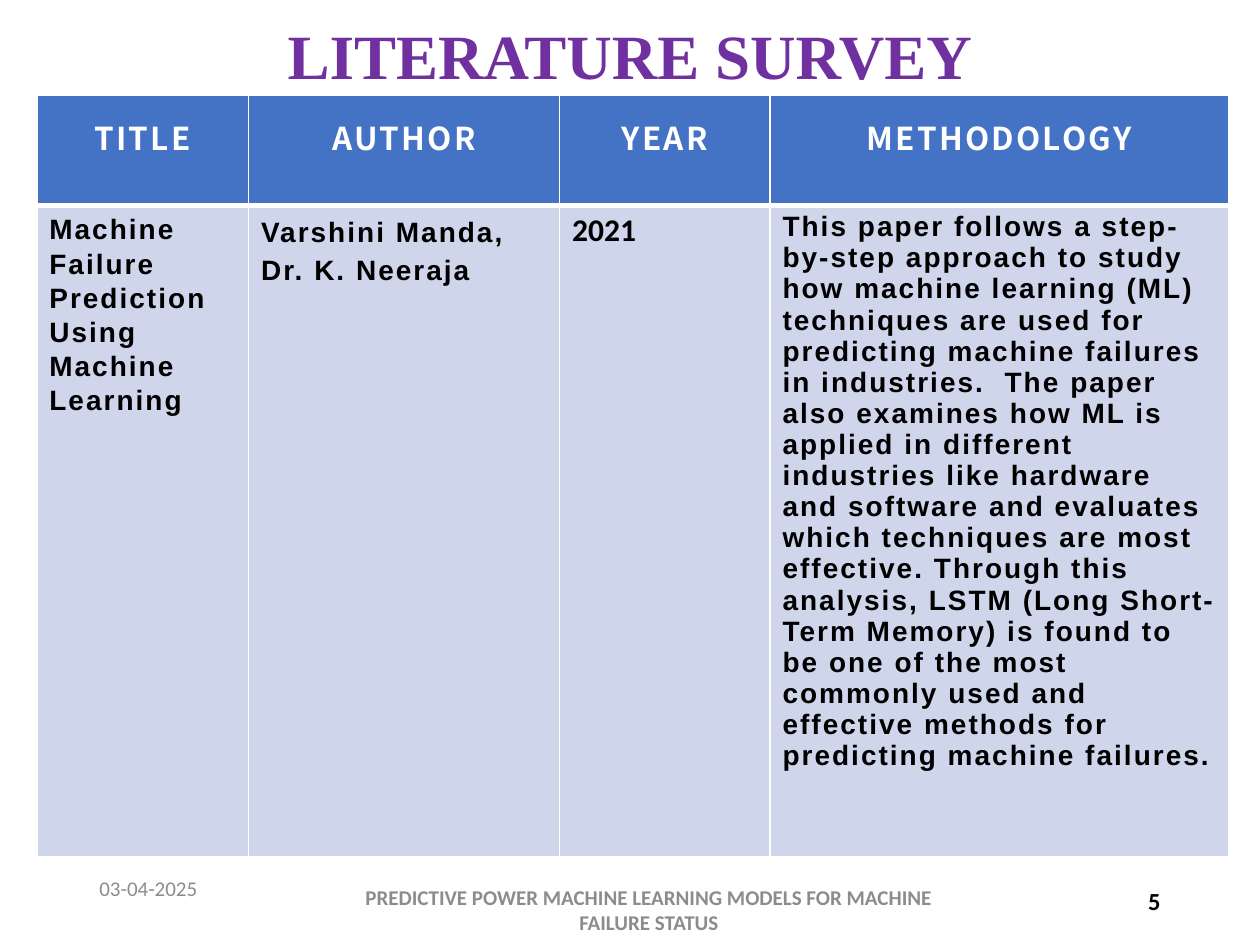
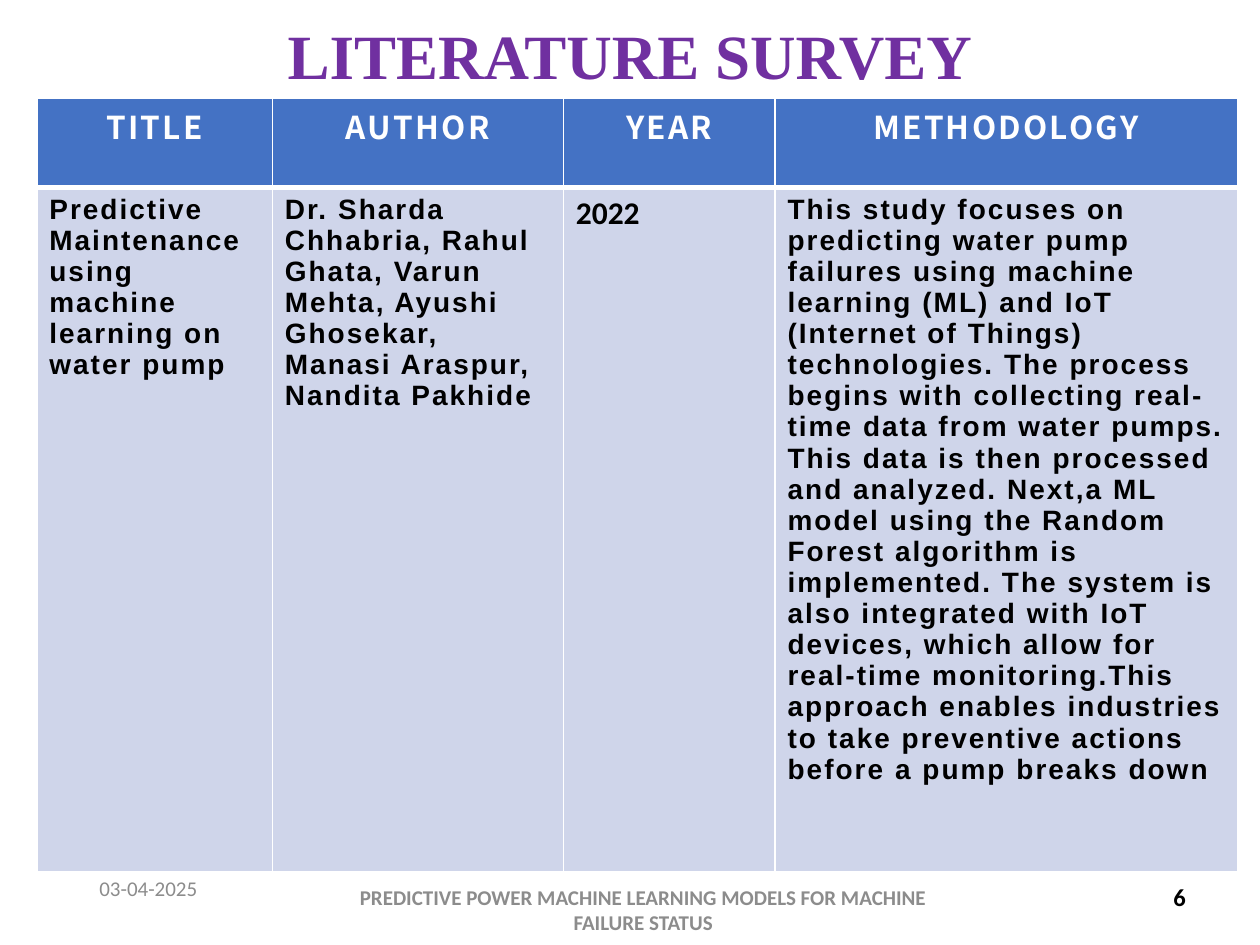
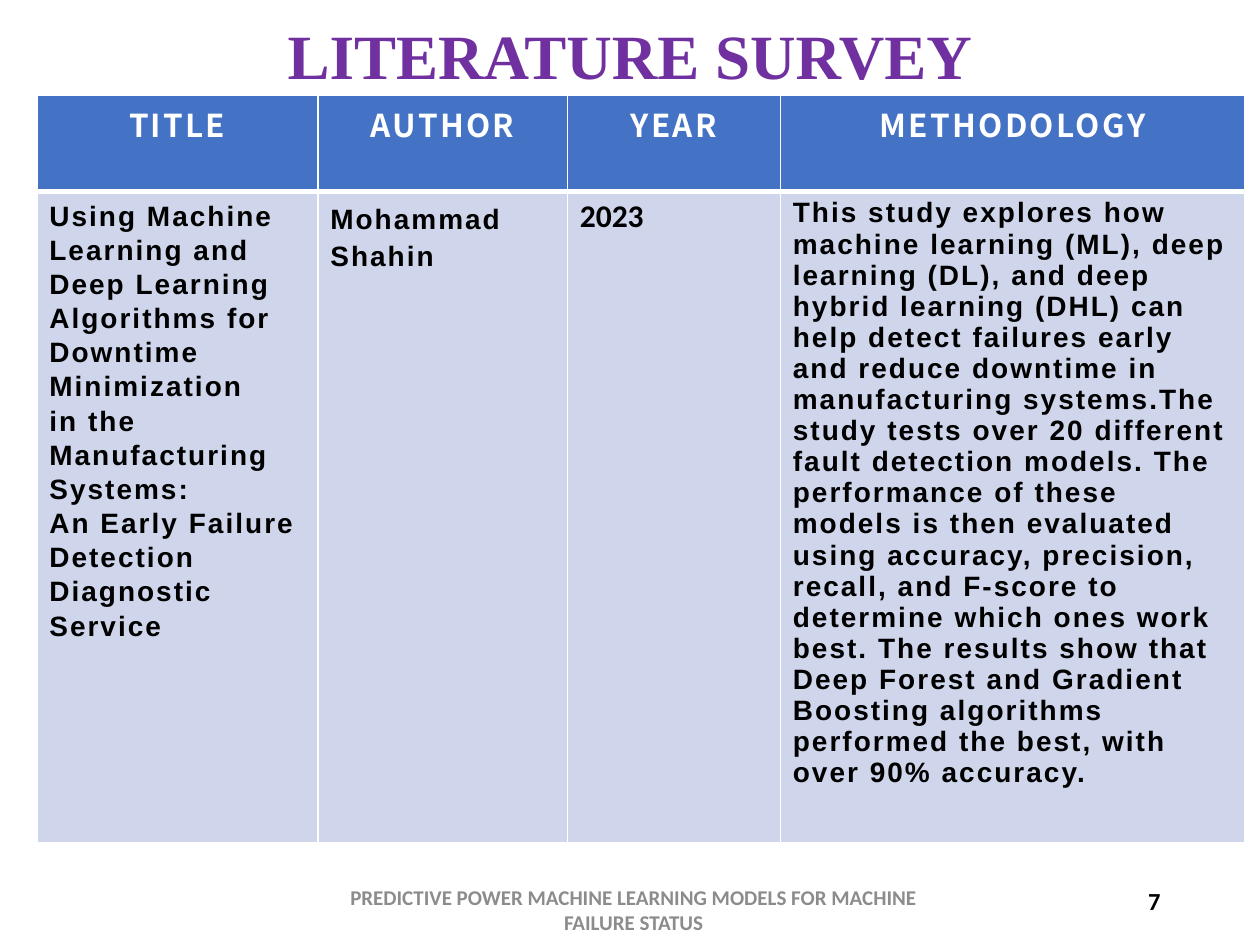
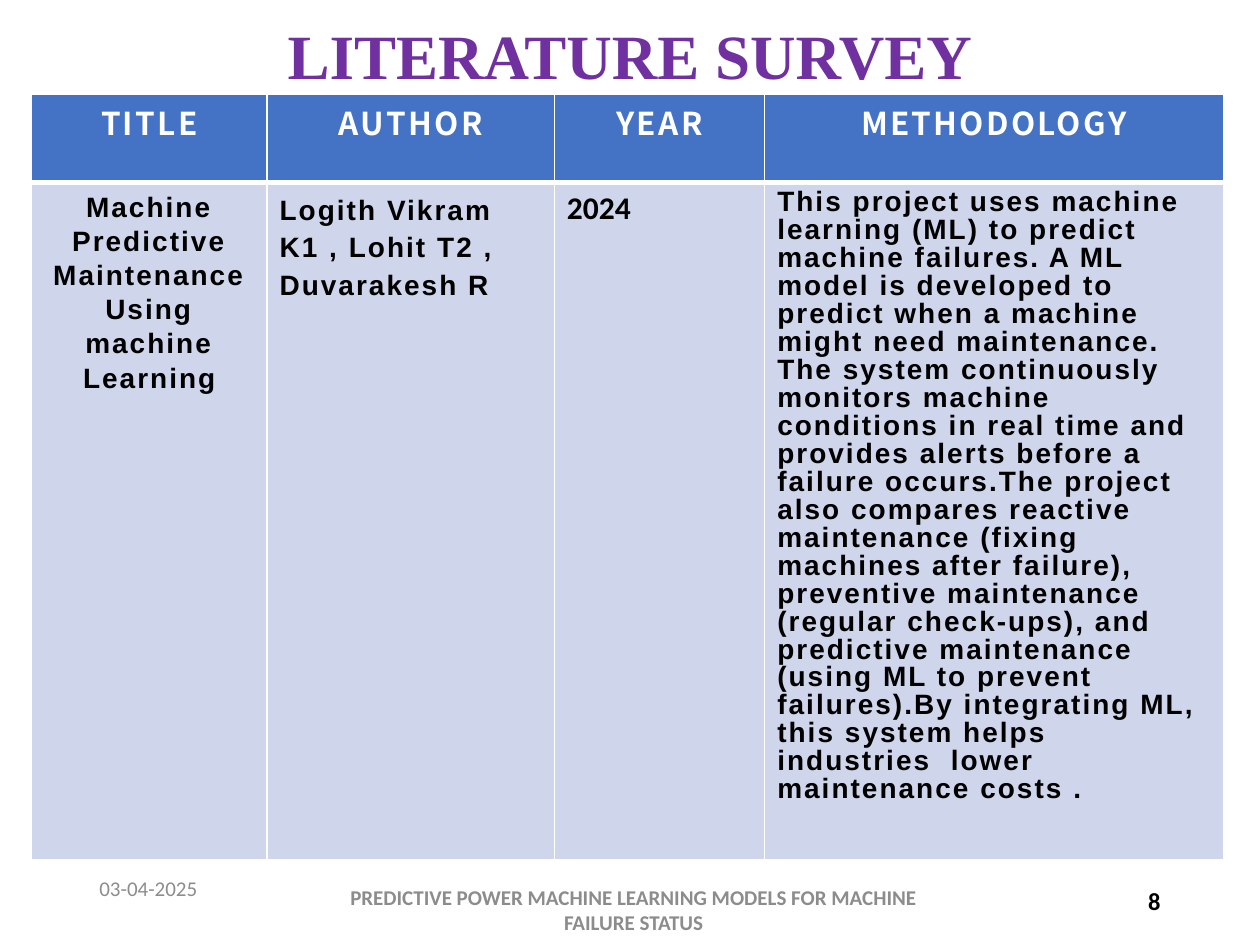
from dataclasses import dataclass

from lxml import etree
from pptx import Presentation
from pptx.dml.color import RGBColor
from pptx.enum.text import MSO_ANCHOR, MSO_AUTO_SIZE, PP_ALIGN
from pptx.oxml.ns import qn
from pptx.util import Pt

LEFT, CENTER, RIGHT = PP_ALIGN.LEFT, PP_ALIGN.CENTER, PP_ALIGN.RIGHT
TOP, MIDDLE, BOTTOM = MSO_ANCHOR.TOP, MSO_ANCHOR.MIDDLE, MSO_ANCHOR.BOTTOM
NO_FIT = MSO_AUTO_SIZE.NONE
TITLE_ONLY = 5

PURPLE, BLUE, PALE_BLUE = "7030A0", "4472C4", "CFD5EA"
WHITE, BLACK, GRAY = "FFFFFF", "000000", "8C8C8C"

TITLE_FONT = {"name": "Times New Roman", "size": Pt(36), "bold": True, "color": PURPLE}
HEADER_FONT = {"name": "Noto Sans CJK SC", "size": Pt(18), "bold": True, "color": WHITE}
BODY_FONT = {"name": "Arial", "size": Pt(16), "bold": True, "color": BLACK}
YEAR_FONT = {"name": "Calibri", "size": Pt(18), "bold": True, "color": BLACK}
DATE_FONT = {"name": "Calibri", "size": Pt(12), "bold": False, "color": GRAY}
FOOTER_FONT = {**DATE_FONT, "bold": True}
NUMBER_FONT = {"name": "Calibri", "size": Pt(14), "bold": True, "color": BLACK}

HEADER_TRACKING, BODY_TRACKING = 1.3, 1.2
THIN, THICK = 1, 3
HEADER_MARGINS = {"margin_top": Pt(2.75), "margin_bottom": Pt(26)}

HEADINGS = ["TITLE", "AUTHOR", "YEAR", "METHODOLOGY"]
SURVEY_TITLE = "LITERATURE SURVEY"
DATE = "03-04-2025"
PROJECT = "PREDICTIVE POWER MACHINE LEARNING MODELS FOR MACHINE FAILURE STATUS"
FIRST_NUMBER = 5


@dataclass
class Paper:
    """One surveyed paper, with the layout of its slide in points."""
    title: list
    author: list
    year: str
    methodology: list
    corner: tuple
    columns: list
    rows: list
    footer: tuple
    number: tuple = (508.3, 500.4)
    spacing: tuple = (1.1, 1.2, 1, 1)
    title_align: int = LEFT
    dated: bool = True


PAPERS = [
    Paper(
        title=["Machine Failure Prediction Using Machine", "Learning"],
        author=["Varshini Manda,", "Dr. K. Neeraja"],
        year="2021",
        methodology=[
            "This paper follows a step-by-step approach to study how machine learning (ML) "
            "techniques are used for predicting machine failures in industries.  The paper also "
            "examines how ML is applied in different industries like hardware and software and "
            "evaluates which techniques are most effective. Through this analysis, LSTM (Long "
            "Short-Term Memory) is found to be one of the most commonly used and effective "
            "methods for predicting machine failures."],
        corner=(21, 54.7),
        columns=[121, 177.8, 120.2, 262.1],
        rows=[62.6, 372.2],
        footer=(195.8, 350),
    ),
    Paper(
        title=["Predictive Maintenance using machine learning on water pump"],
        author=["Dr. Sharda Chhabria, Rahul Ghata, Varun Mehta, Ayushi Ghosekar, "
                "Manasi Araspur, Nandita Pakhide"],
        year="2022",
        methodology=[
            "This study focuses on predicting water pump failures using machine learning (ML) and "
            "IoT (Internet of Things) technologies. The process begins with collecting real-time "
            "data from water pumps. This data is then processed and analyzed. Next,a ML model "
            "using the Random Forest algorithm is implemented. The system is also integrated with "
            "IoT devices, which allow for real-time monitoring.This approach enables industries "
            "to take preventive actions before a pump breaks down"],
        corner=(21, 56.2),
        columns=[134.6, 166.3, 121, 264.2],
        rows=[51.1, 391],
        footer=(184.3, 366.5),
        number=(522.7, 498.2),
        spacing=(1, 1, 1, 1),
    ),
    Paper(
        title=["Using Machine Learning and Deep Learning Algorithms for Downtime Minimization",
               "in the", "Manufacturing Systems:",
               "An Early Failure Detection Diagnostic Service"],
        author=["Mohammad Shahin"],
        year="2023",
        methodology=[
            "This study explores how machine learning (ML), deep learning (DL), and deep hybrid "
            "learning (DHL) can help detect failures early and reduce downtime in manufacturing "
            "systems.The study tests over 20 different fault detection models. The performance of "
            "these models is then evaluated using accuracy, precision, recall, and F-score to "
            "determine which ones work best. The results show that Deep Forest and Gradient "
            "Boosting algorithms performed the best, with over 90% accuracy."],
        corner=(21, 54.7),
        columns=[160.6, 142.6, 121.7, 265.7],
        rows=[54.7, 372.2],
        footer=(185, 354.2),
        dated=False,
    ),
    Paper(
        title=["Machine Predictive Maintenance Using machine Learning"],
        author=["Logith Vikram K1 , Lohit T2 , Duvarakesh R"],
        year="2024",
        methodology=[
            "This project uses machine learning (ML) to predict machine failures. A ML model is "
            "developed to predict when a machine might need maintenance.",
            "The system continuously monitors machine conditions in real time and provides alerts "
            "before a failure occurs.The project also compares reactive maintenance (fixing "
            "machines after failure), preventive maintenance (regular check-ups), and predictive "
            "maintenance (using ML to prevent failures).By integrating ML, this system helps "
            "industries  lower maintenance costs ."],
        corner=(18, 54),
        columns=[134.6, 164.2, 120.2, 262.1],
        rows=[50.4, 386.6],
        footer=(185, 354.2),
        spacing=(1.1, 1.2, 1, 0.9),
        title_align=CENTER,
    ),
]


def rgb(color):
    return RGBColor.from_string(color)


def set_attributes(target, values):
    for name, value in values.items():
        setattr(target, name, value)


def write(frame, lines, font, align=LEFT, spacing=1, tracking=0):
    """Fill a text frame with one paragraph per line; tracking is in points."""
    for index, line in enumerate(lines):
        para = frame.add_paragraph() if index else frame.paragraphs[0]
        set_attributes(para, {"alignment": align, "line_spacing": spacing})
        span = para.add_run()
        span.text = line
        set_attributes(span.font, {k: v for k, v in font.items() if k != "color"})
        span.font.color.rgb = rgb(font["color"])
        if tracking:
            span._r.get_or_add_rPr().set("spc", str(round(tracking * 100)))


def place(shape, left, top, width, height):
    set_attributes(shape, {"left": Pt(left), "top": Pt(top),
                           "width": Pt(width), "height": Pt(height)})


def add_title(slide):
    title = slide.shapes.title
    place(title, 49.7, 13, 620.6, 41.8)
    set_attributes(title.text_frame, {"vertical_anchor": MIDDLE, "auto_size": NO_FIT,
                                      "word_wrap": True})
    write(title.text_frame, [SURVEY_TITLE], TITLE_FONT, CENTER, 0.9)


def add_label(slide, text, font, align, left, top, width):
    box = slide.shapes.add_textbox(Pt(left), Pt(top), Pt(width), Pt(28.8))
    set_attributes(box.text_frame, {"word_wrap": True, "vertical_anchor": MIDDLE})
    write(box.text_frame, [text], font, align)


def add_footers(slide, paper, number):
    if paper.dated:
        add_label(slide, DATE, DATE_FONT, LEFT, 49.7, 493.4, 162)
    add_label(slide, str(number), NUMBER_FONT, RIGHT, *paper.number, 162)
    left, width = paper.footer
    add_label(slide, PROJECT, FOOTER_FONT, CENTER, left, 505.4, width)


def style_cell(cell, fill, top, bottom):
    """Give a cell white borders and a fill; top and bottom are line widths."""
    properties = cell._tc.get_or_add_tcPr()
    for side, width in {"L": THIN, "R": THIN, "T": top, "B": bottom}.items():
        line = etree.SubElement(properties, qn(f"a:ln{side}"), w=str(Pt(width)))
        solid = etree.SubElement(line, qn("a:solidFill"))
        etree.SubElement(solid, qn("a:srgbClr"), val=WHITE)
    cell.fill.solid()
    cell.fill.fore_color.rgb = rgb(fill)


def add_paper_table(slide, paper):
    left, top = paper.corner
    frame = slide.shapes.add_table(2, len(HEADINGS), Pt(left), Pt(top),
                                   Pt(sum(paper.columns)), Pt(sum(paper.rows)))
    table = frame.table
    table.horz_banding = False
    for column, width in zip(table.columns, paper.columns):
        column.width = Pt(width)
    for row, height in zip(table.rows, paper.rows):
        row.height = Pt(height)

    contents = [
        (paper.title, BODY_FONT, paper.title_align, BODY_TRACKING),
        (paper.author, BODY_FONT, LEFT, BODY_TRACKING),
        ([paper.year], YEAR_FONT, LEFT, 0),
        (paper.methodology, BODY_FONT, LEFT, BODY_TRACKING),
    ]
    for index, (lines, font, align, tracking) in enumerate(contents):
        header, body = table.cell(0, index), table.cell(1, index)
        style_cell(header, BLUE, THIN, THICK)
        style_cell(body, PALE_BLUE, THICK, THIN)
        set_attributes(header, {"vertical_anchor": BOTTOM, **HEADER_MARGINS})
        body.vertical_anchor = TOP
        write(header.text_frame, [HEADINGS[index]], HEADER_FONT, CENTER,
              tracking=HEADER_TRACKING)
        write(body.text_frame, lines, font, align, paper.spacing[index], tracking)


def main():
    deck = Presentation()
    set_attributes(deck, {"slide_width": Pt(720), "slide_height": Pt(540)})
    for number, paper in enumerate(PAPERS, FIRST_NUMBER):
        slide = deck.slides.add_slide(deck.slide_layouts[TITLE_ONLY])
        add_title(slide)
        add_footers(slide, paper, number)
        add_paper_table(slide, paper)
    deck.save("out.pptx")


if __name__ == "__main__":
    main()
